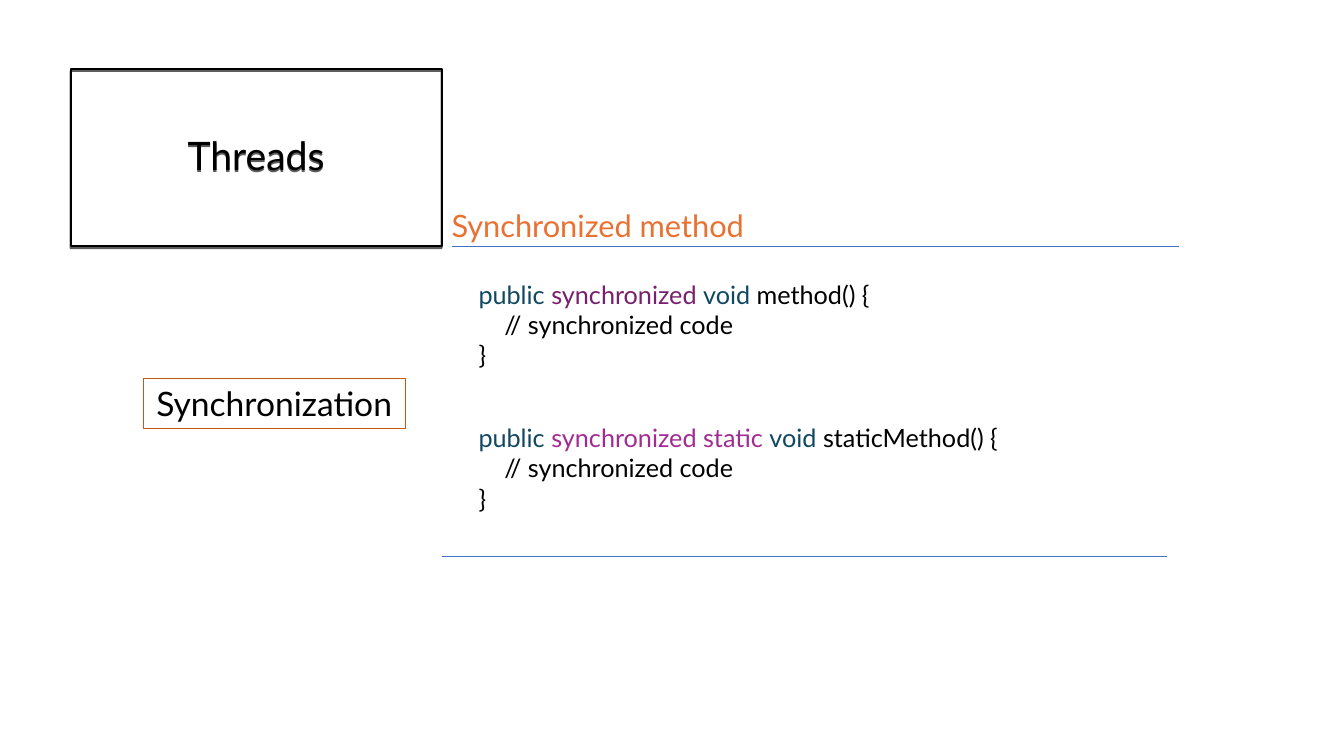
"""Build a slide on synchronized methods in threads."""
from lxml import etree
from pptx import Presentation
from pptx import util as u
from pptx.dml import color
from pptx.enum import shapes, text
from pptx.oxml import ns

BLACK, BLUE, TEAL = "000000", "4472C4", "104862"


def paint(code):
    """Return the colour for a hex string."""
    return color.RGBColor.from_string(code)


def write(para, runs, size):
    """Add (words, colour) runs to a paragraph."""
    for words, code in runs:
        run = para.add_run()
        run.text = words
        run.font.name = "Lato"
        run.font.size = u.Pt(size)
        run.font.color.rgb = paint(code)


def add_box(slide, place, words, size, edge, width):
    """Add an outlined rectangle with centred text."""
    box = slide.shapes.add_shape(shapes.MSO_SHAPE.RECTANGLE, *map(u.Cm, place))
    box.fill.background()
    box.line.color.rgb = paint(edge)
    box.line.width = u.Pt(width)
    box.shadow.inherit = False
    frame = box.text_frame
    frame.word_wrap = True
    frame.vertical_anchor = text.MSO_ANCHOR.MIDDLE
    para = frame.paragraphs[0]
    para.alignment = text.PP_ALIGN.CENTER
    write(para, [(words, BLACK)], size)
    return box


def add_shade(box):
    """Give a box a soft black shadow just below it."""
    effects = box._element.spPr.find(ns.qn("a:effectLst"))
    shade = etree.SubElement(effects, ns.qn("a:outerShdw"), dist=str(u.Pt(1.5)),
                             dir="5400000", algn="ctr", rotWithShape="0")
    tone = etree.SubElement(shade, ns.qn("a:srgbClr"), val=BLACK)
    etree.SubElement(tone, ns.qn("a:alpha"), val="63000")


def add_rule(slide, left, right, top):
    """Add a thin horizontal line."""
    ends = map(u.Cm, (left, top, right, top))
    rule = slide.shapes.add_connector(shapes.MSO_CONNECTOR.STRAIGHT, *ends)
    rule.line.color.rgb = paint(BLUE)
    rule.line.width = u.Pt(0.5)
    etree.SubElement(rule._element.spPr, ns.qn("a:effectLst"))


def add_text(slide, place, lines, size):
    """Add a text box with one paragraph per line."""
    frame = slide.shapes.add_textbox(*map(u.Cm, place)).text_frame
    frame.word_wrap = True
    for i, runs in enumerate(lines):
        para = frame.add_paragraph() if i else frame.paragraphs[0]
        write(para, runs, size)


def add_code(slide, top, words, tint, name):
    """Add a method sample with tinted keywords."""
    head = [("public ", TEAL), (words, tint), ("void", TEAL),
            (f" {name}() {{", BLACK)]
    lines = [head, [("    // synchronized code", BLACK)], [("}", BLACK)]]
    add_text(slide, (11.81, top, 16.94, 2.57), lines, 18)


def main():
    """Build and save the slide."""
    deck = Presentation()
    deck.slide_width, deck.slide_height = u.Cm(33.87), u.Cm(19.05)
    slide = deck.slides.add_slide(deck.slide_layouts[6])
    title = add_box(slide, (1.78, 1.73, 9.35, 4.47), "Threads", 28, BLACK, 1.5)
    title.text_frame.paragraphs[0].line_spacing = 0.9
    add_shade(title)
    add_rule(slide, 11.38, 29.72, 6.2)
    add_rule(slide, 11.13, 29.41, 14.02)
    add_box(slide, (3.61, 9.53, 6.6, 1.27), "Synchronization", 24, "C55A11", 0.75)
    add_text(slide, (11.13, 5.08, 16.94, 1.19),
             [[("Synchronized method", "E97132")]], 22)
    add_code(slide, 6.91, "synchronized ", "78206E", "method")
    add_code(slide, 10.52, "synchronized static ", "A02B93", "staticMethod")
    deck.save("out.pptx")


if __name__ == "__main__":
    main()
